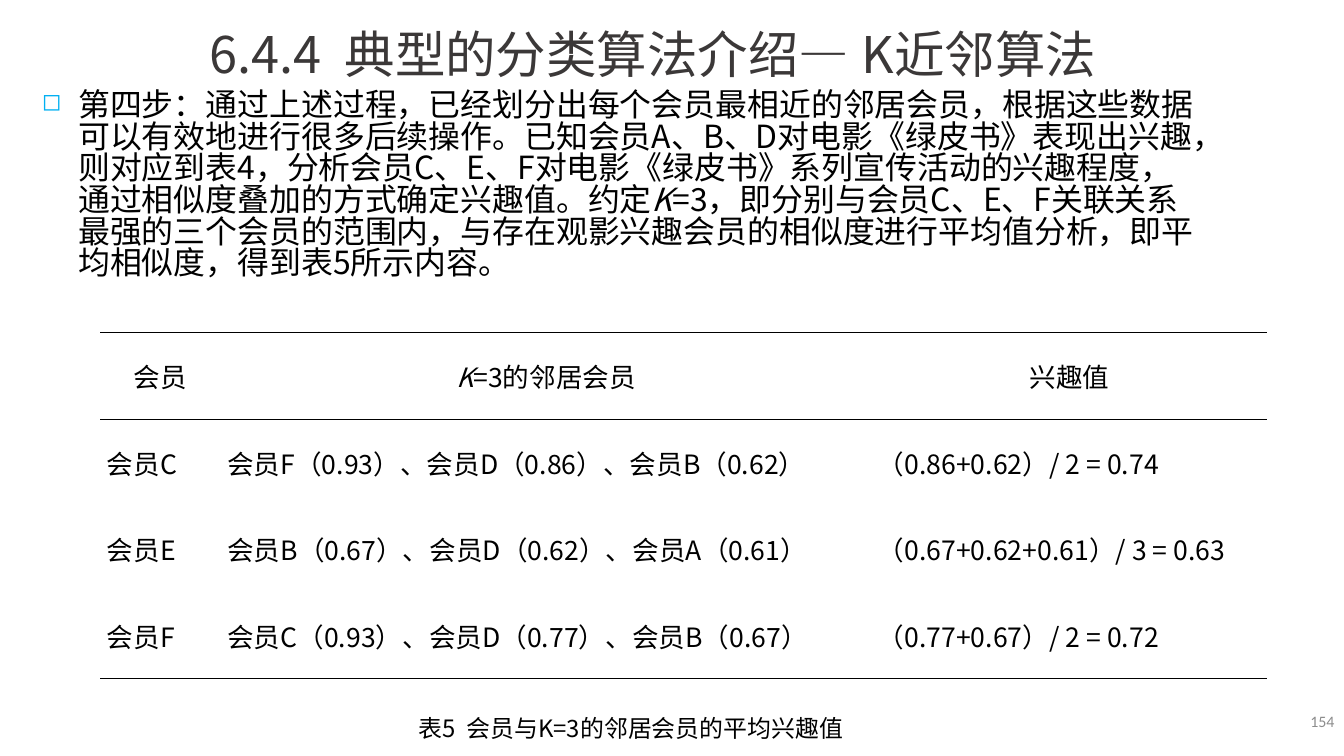
from dataclasses import dataclass

from pptx import Presentation
from pptx import util as u
from pptx.dml import color
from pptx.enum import text
from pptx.oxml import ns, xmlchemy


@dataclass(frozen=True)
class Theme:
    font: str = "Noto Sans CJK SC"
    number_font: str = "Calibri"
    ink: str = "000000"
    heading: str = "3B3838"
    muted: str = "8C8C8C"
    bullet: str = "00B0F2"
    title_size: float = 38
    title_gap_size: float = 40
    body_size: float = 24
    table_size: float = 20
    caption_size: float = 18
    number_size: float = 12


THEME = Theme()
ALIGN = text.PP_ALIGN
ANCHOR = text.MSO_ANCHOR
ITALIC = {"italic": True}

TITLE = [("6.4.4", {}), (" ", {"spacing": 8.5}), ("典型的分类算法介绍—", {}),
         (" ", {"size": THEME.title_gap_size, "bold": True}), ("K近邻算法", {})]
BODY = [
    ("第四步：通过上述过程，已经划分出每个会员最相近的邻居会员，根据这些数据可以有效地进行"
     "很多后续操作。已知会员A、B、D对电影《绿皮书》表现出兴趣，则对应到表4，分析会员C、E、F"
     "对电影《绿皮书》系列宣传活动的兴趣程度，通过相似度叠加的方式确定兴趣值。约定", {}),
    ("K", ITALIC),
    ("=3，即分别与会员C、E、F关联关系最强的三个会员的范围内，与存在观影兴趣会员的相似度"
     "进行平均值分析，即平均相似度，得到表5所示内容。", {}),
]
CAPTION = [("表5", {}), (" ", {"spacing": 4}), ("会员与K=3的邻居会员的平均兴趣值", {})]
HEADERS = [[("会员", {})], [("K", ITALIC), ("=3的邻居会员", {})], [("兴趣值", {})]]
MEMBERS = [
    ("会员C", "会员F（0.93）、会员D（0.86）、会员B（0.62）", "（0.86+0.62）/ 2 = 0.74"),
    ("会员E", "会员B（0.67）、会员D（0.62）、会员A（0.61）", "（0.67+0.62+0.61）/ 3 = 0.63"),
    ("会员F", "会员C（0.93）、会员D（0.77）、会员B（0.67）", "（0.77+0.67）/ 2 = 0.72"),
]
COLUMN_WIDTHS = (90.7, 490, 298.4)


def add_element(parent, tag, **attributes):
    element = xmlchemy.OxmlElement(tag)
    for name, value in attributes.items():
        element.set(name, str(value))
    parent.append(element)
    return element


def write_spans(para, spans, size, ink=THEME.ink, font=THEME.font):
    """Add runs to a paragraph; each span is its words and its own format values."""
    for words, own in spans:
        span = para.add_run()
        span.text = words
        values = {"name": font, "size": size, "bold": False, "italic": False, **own}
        spacing = values.pop("spacing", None)
        values["size"] = u.Pt(values["size"])
        for name, value in values.items():
            setattr(span.font, name, value)
        span.font.color.rgb = color.RGBColor.from_string(ink)
        properties = span.font._element
        add_element(properties, "a:ea", typeface=font)
        if spacing:
            properties.set("spc", str(int(spacing * 100)))


def add_text(page, box, align=ALIGN.LEFT, **frame_values):
    """Add a text box and return its first paragraph."""
    frame = page.shapes.add_textbox(*map(u.Pt, box)).text_frame
    values = {"word_wrap": True, "vertical_anchor": ANCHOR.TOP, **frame_values}
    for name, value in values.items():
        setattr(frame, name, value)
    para = frame.paragraphs[0]
    para.alignment = align
    return para


def add_title(page, box):
    para = add_text(page, box, word_wrap=False, margin_left=u.Pt(8), margin_right=u.Pt(8),
                    auto_size=text.MSO_AUTO_SIZE.SHAPE_TO_FIT_TEXT)
    write_spans(para, TITLE, THEME.title_size, THEME.heading)


def add_body(page, box):
    para = add_text(page, box)
    para.line_spacing = 0.83
    properties = para._p.get_or_add_pPr()
    indent = u.Pt(27.4)
    properties.set("marL", str(indent))
    properties.set("indent", str(-indent))
    bullet_color = add_element(properties, "a:buClr")
    add_element(bullet_color, "a:srgbClr", val=THEME.bullet)
    add_element(properties, "a:buSzPct", val=75000)
    add_element(properties, "a:buChar", char="◻")
    write_spans(para, BODY, THEME.body_size)


def add_caption(page, box):
    para = add_text(page, box, ALIGN.CENTER, vertical_anchor=ANCHOR.MIDDLE,
                    auto_size=text.MSO_AUTO_SIZE.SHAPE_TO_FIT_TEXT)
    write_spans(para, CAPTION, THEME.caption_size)


def add_page_number(page, box):
    para = add_text(page, box, ALIGN.RIGHT, vertical_anchor=ANCHOR.MIDDLE)
    write_spans(para, [("154", {})], THEME.number_size, THEME.muted, THEME.number_font)


def rule_cell(cell, ruled):
    """Draw a line on the ruled sides of a cell and clear the other sides."""
    cell.fill.background()
    properties = cell._tc.get_or_add_tcPr()
    fill = properties.find(ns.qn("a:noFill"))
    for side in "LRTB":
        line = add_element(properties, f"a:ln{side}", w=u.Pt(1))
        if side in ruled:
            add_element(add_element(line, "a:solidFill"), "a:srgbClr", val=THEME.ink)
        else:
            add_element(line, "a:noFill")
        fill.addprevious(line)


def add_interest_table(page, box):
    rows = [HEADERS] + [[[(words, {})] for words in member] for member in MEMBERS]
    table = page.shapes.add_table(len(rows), len(HEADERS), *map(u.Pt, box)).table
    table.first_row = table.horz_banding = False
    for column, width in zip(table.columns, COLUMN_WIDTHS):
        column.width = u.Pt(width)
    ruled_sides = {0: "TB", 1: "T", len(rows) - 1: "B"}
    cell_values = {"margin_left": u.Pt(5), "margin_right": u.Pt(5), "margin_top": 0,
                   "margin_bottom": 0, "vertical_anchor": ANCHOR.MIDDLE}
    for row_index, row in enumerate(rows):
        for column_index, spans in enumerate(row):
            cell = table.cell(row_index, column_index)
            for name, value in cell_values.items():
                setattr(cell, name, value)
            para = cell.text_frame.paragraphs[0]
            para.alignment = ALIGN.LEFT if row_index else ALIGN.CENTER
            write_spans(para, spans, THEME.table_size)
            rule_cell(cell, ruled_sides.get(row_index, ""))


def main():
    deck = Presentation()
    deck.slide_width, deck.slide_height = u.Pt(1012.3), u.Pt(569.5)
    page = deck.slides.add_slide(deck.slide_layouts[6])
    add_page_number(page, (784.8, 528, 227.5, 30))
    add_title(page, (150, 12, 712, 56))
    add_body(page, (24.5, 65, 884, 67.7))
    add_caption(page, (245.5, 534, 459.4, 29))
    add_interest_table(page, (75.6, 250.6, sum(COLUMN_WIDTHS), 260.8))
    deck.save("out.pptx")


if __name__ == "__main__":
    main()
